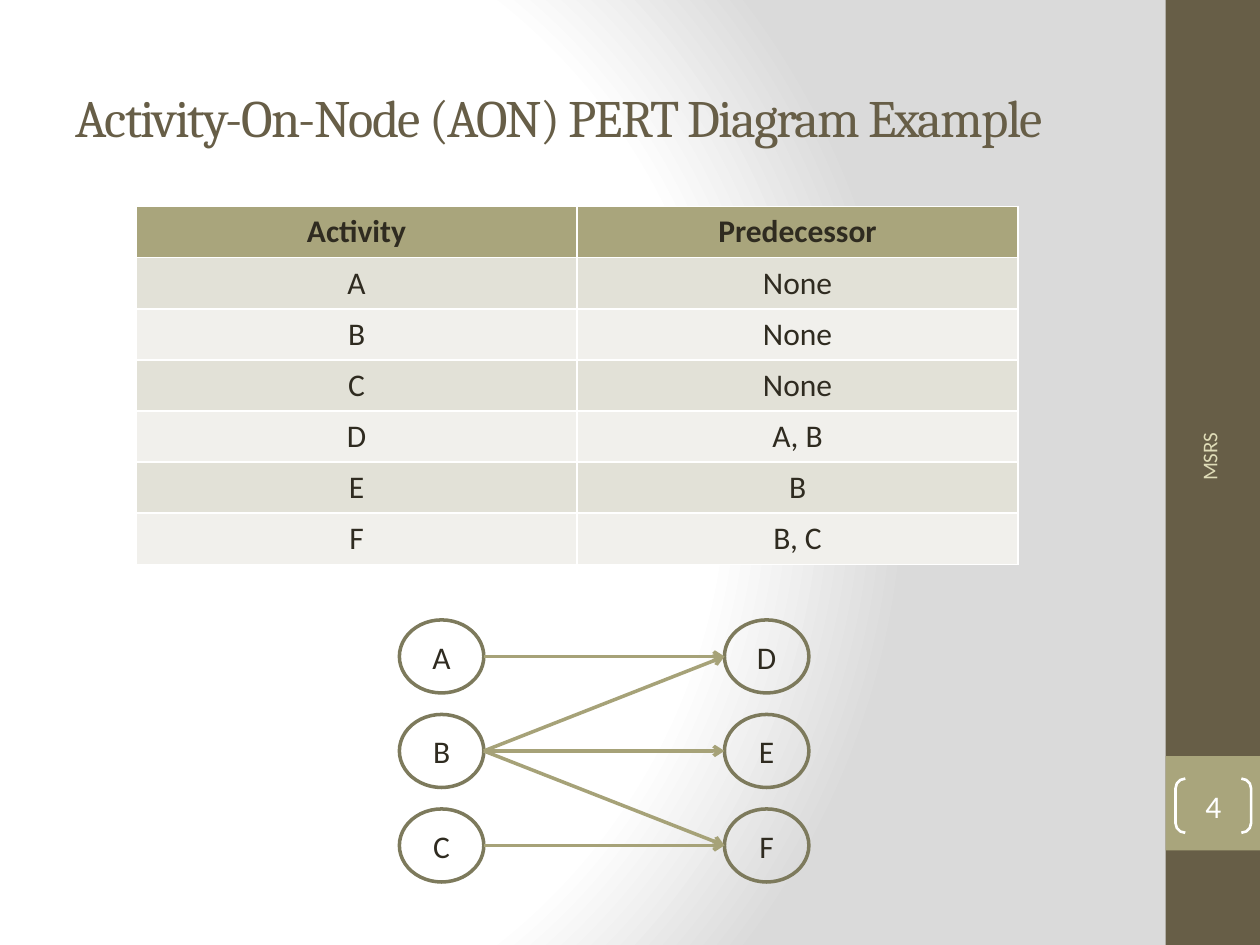
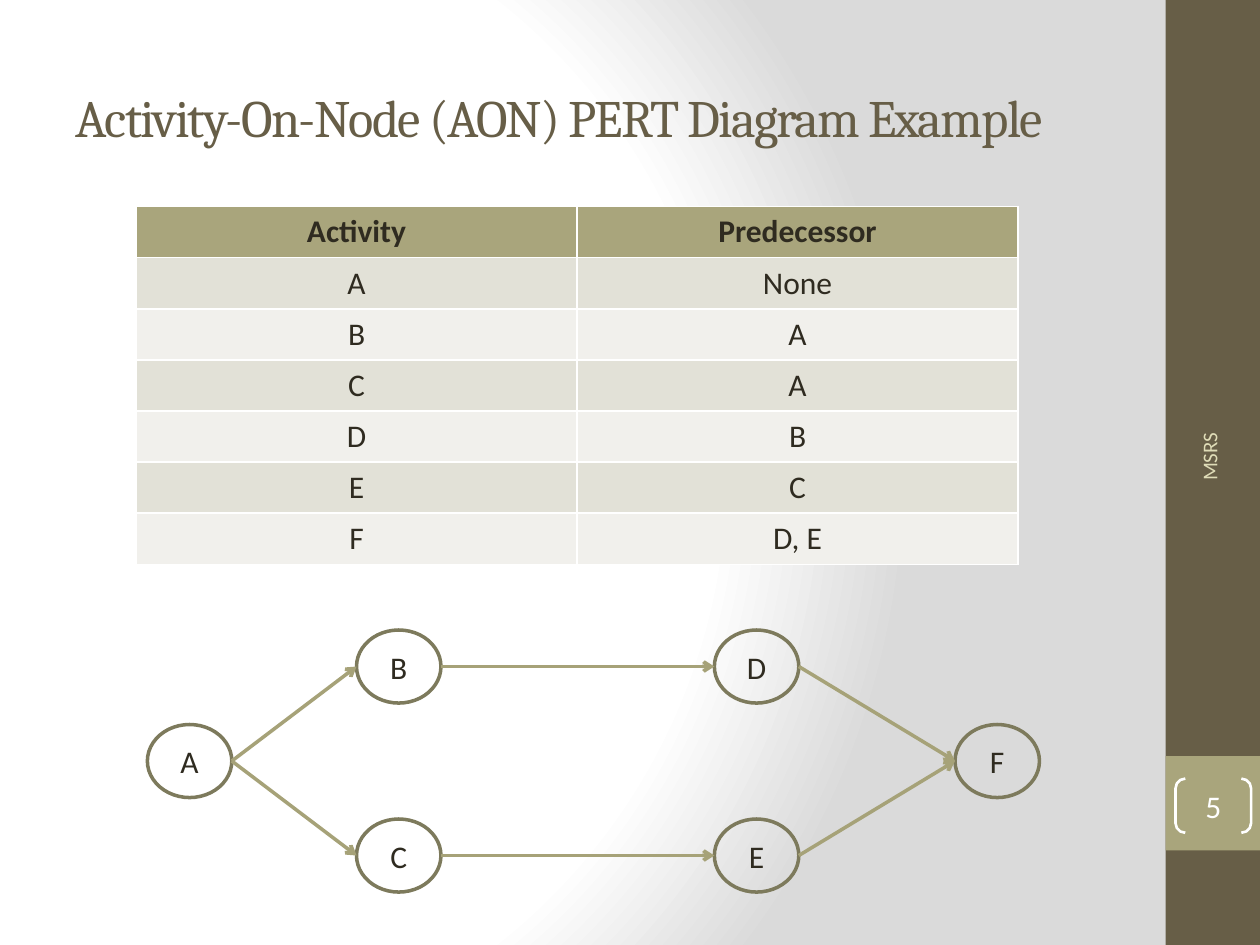
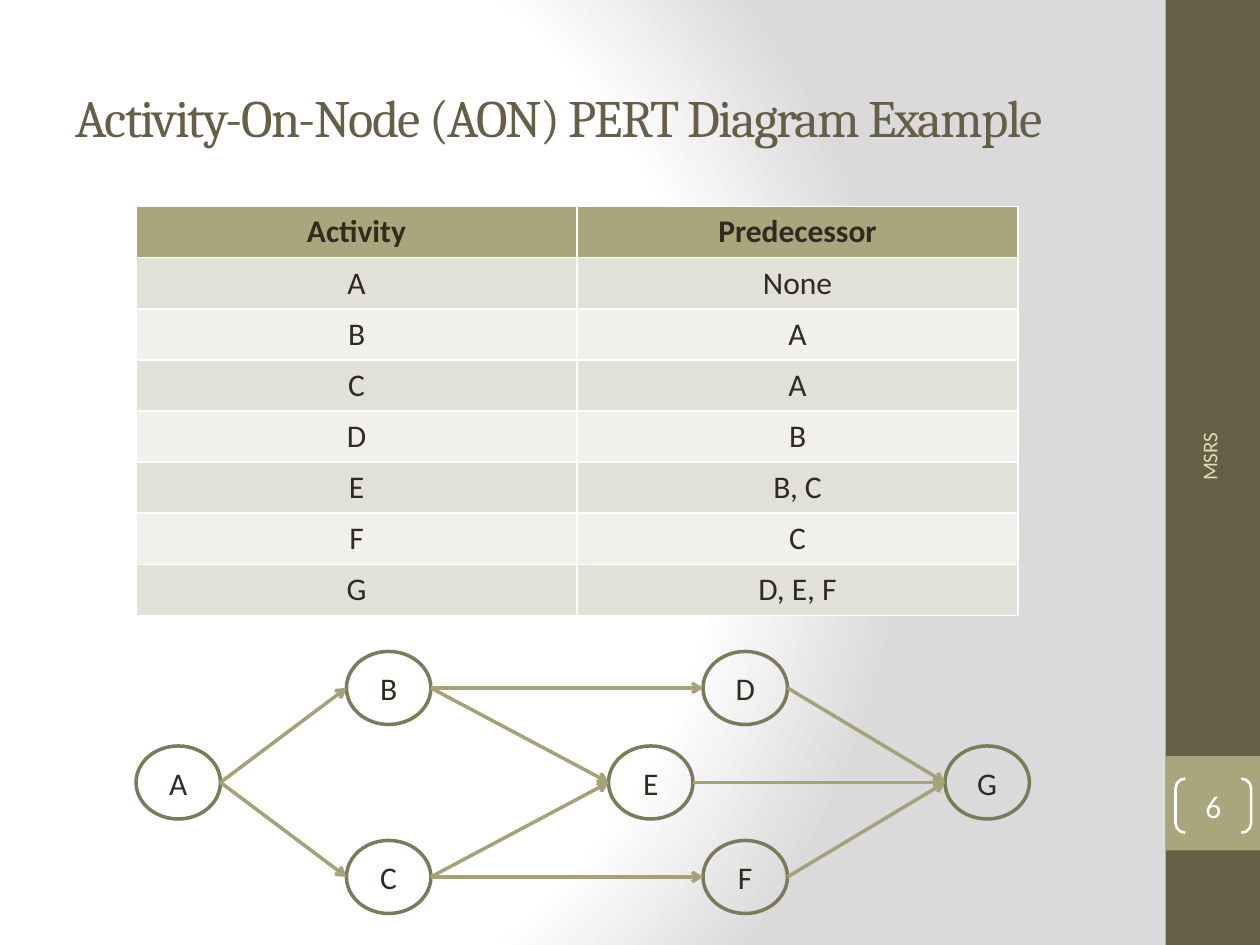
import dataclasses

import pptx
import pptx.dml.color
import pptx.enum.shapes
import pptx.enum.text
import pptx.oxml
import pptx.oxml.ns
import pptx.util

Inches, Pt = pptx.util.Inches, pptx.util.Pt
RGB = pptx.dml.color.RGBColor.from_string
SHAPE = pptx.enum.shapes.MSO_SHAPE
ALIGN = pptx.enum.text.PP_ALIGN
MIDDLE = pptx.enum.text.MSO_ANCHOR.MIDDLE
qn = pptx.oxml.ns.qn


@dataclasses.dataclass(frozen=True)
class Theme:
    heading_font: str = "Cambria"
    body_font: str = "Calibri"
    title_size: int = 30
    body_size: int = 18
    footer_size: int = 12
    ink: str = "2F2B20"
    dark: str = "675E47"
    accent: str = "A9A57C"
    node: str = "7D7A5C"
    arrow: str = "A6A278"
    footer: str = "DFDCB7"
    white: str = "FFFFFF"
    shade: str = "DADADA"
    stripes: tuple = ("E2E1D7", "F1F0EC")


T = Theme()
TITLE = "Activity-On-Node (AON) PERT Diagram Example"
FIRST_NUMBER = 4
NODE_W, NODE_H, NODE_PITCH = 0.67, 0.58, 0.75
ELLIPSE_LEFT, ELLIPSE_RIGHT = 2, 6

# Each network: predecessors, top of the diagram, nodes as (left, row)
NETWORKS = [
    dict(predecessors={"A": "None", "B": "None", "C": "None",
                       "D": "A, B", "E": "B", "F": "B, C"},
         top=4.92,
         nodes={"A": (3.17, 0), "B": (3.17, 1), "C": (3.17, 2),
                "D": (5.75, 0), "E": (5.75, 1), "F": (5.75, 2)}),
    dict(predecessors={"A": "None", "B": "A", "C": "A",
                       "D": "B", "E": "C", "F": "D, E"},
         top=5,
         nodes={"A": (1.17, 1), "B": (2.83, 0), "C": (2.83, 2),
                "D": (5.67, 0), "E": (5.67, 2), "F": (7.58, 1)}),
    dict(predecessors={"A": "None", "B": "A", "C": "A", "D": "B",
                       "E": "B, C", "F": "C", "G": "D, E, F"},
         top=5.17,
         nodes={"A": (1.08, 1), "B": (2.75, 0), "C": (2.75, 2), "D": (5.58, 0),
                "E": (4.83, 1), "F": (5.58, 2), "G": (7.5, 1)}),
]


def write(tf, text, size=T.body_size, font=T.body_font, color=T.ink,
          bold=False, align=ALIGN.CENTER, spacing=None):
    p = tf.paragraphs[0]
    p.alignment = align
    r = p.add_run()
    r.text = text
    r.font.size, r.font.name, r.font.bold = Pt(size), font, bold
    r.font.color.rgb = RGB(color)
    if spacing:
        r.font._element.set("spc", str(spacing))


def add_shape(s, kind, x, y, w, h, fill=None, line=None, width=2):
    sp = s.shapes.add_shape(kind, Inches(x), Inches(y), Inches(w), Inches(h))
    sp.shadow.inherit = False
    if fill:
        sp.fill.solid()
        sp.fill.fore_color.rgb = RGB(fill)
    else:
        sp.fill.background()
    if line:
        sp.line.color.rgb = RGB(line)
        sp.line.width = Pt(width)
    else:
        sp.line.fill.background()
    sp.text_frame.vertical_anchor = MIDDLE
    return sp


prs = pptx.Presentation()
prs.slide_width, prs.slide_height = Inches(10), Inches(7.5)
master, layout = prs.slide_master, prs.slide_layouts[5]

# Shared background gradient
master.background.fill.gradient()
grad = master.element.find(".//" + qn("a:gradFill"))
stops = "".join(f'<a:gs pos="{pos}"><a:srgbClr val="{color}"/></a:gs>'
                for pos, color in ((0, T.white), (75000, T.white), (100000, T.shade)))
grad.getparent().replace(grad, pptx.oxml.parse_xml(
    f'<a:gradFill {pptx.oxml.ns.nsdecls("a")} rotWithShape="1"><a:gsLst>{stops}</a:gsLst>'
    '<a:path path="circle"><a:fillToRect l="20000" t="50000" r="100000" b="50000"/></a:path>'
    '</a:gradFill>'))

# Shared title place
title = layout.placeholders[0]
title.left, title.top = Inches(0.5), Inches(0.3)
title.width, title.height = Inches(8.33), Inches(1.25)

slides = [prs.slides.add_slide(layout) for _ in NETWORKS]

# Shared side bands, moved to the master behind its placeholders
for i, (y, h, color) in enumerate([(0, 7.5, T.dark), (6, 0.75, T.accent)]):
    band = add_shape(slides[0], SHAPE.RECTANGLE, 9.25, y, 0.75, h, fill=color)
    band.element.nvSpPr.cNvPr.set("id", str(20 + i))
    master.shapes.element.insert(2 + i, band.element)

for number, (s, network) in enumerate(zip(slides, NETWORKS), FIRST_NUMBER):
    # Title
    tf = s.shapes.title.text_frame
    tf.vertical_anchor = MIDDLE
    write(tf, TITLE, size=T.title_size, font=T.heading_font, color=T.dark,
          align=ALIGN.LEFT, spacing=-100)

    # Predecessor table
    rows = [("Activity", "Predecessor"), *network["predecessors"].items()]
    table = s.shapes.add_table(len(rows), 2, Inches(1.08), Inches(1.64),
                               Inches(7), Inches(0.4 * len(rows))).table
    for i, row in enumerate(rows):
        for j, text in enumerate(row):
            cell = table.cell(i, j)
            cell.fill.solid()
            cell.fill.fore_color.rgb = RGB(T.stripes[(i - 1) % 2] if i else T.accent)
            write(cell.text_frame, text, bold=i == 0)

    # Activity nodes
    nodes = {}
    for name, (x, row) in network["nodes"].items():
        nodes[name] = add_shape(s, SHAPE.OVAL, x, network["top"] + row * NODE_PITCH,
                                NODE_W, NODE_H, line=T.node)
        write(nodes[name].text_frame, name)

    # Arrows from each predecessor to its activity
    for name, before in network["predecessors"].items():
        for source in before.split(", "):
            if source not in nodes:
                continue
            a, b = nodes[source], nodes[name]
            arrow = s.shapes.add_connector(
                pptx.enum.shapes.MSO_CONNECTOR.STRAIGHT,
                a.left + a.width, a.top + a.height // 2, b.left, b.top + b.height // 2)
            arrow.line.color.rgb = RGB(T.arrow)
            arrow.line.width = Pt(2)
            spPr = arrow.element.spPr
            spPr.find(qn("a:ln")).append(pptx.oxml.parse_xml(
                f'<a:tailEnd {pptx.oxml.ns.nsdecls("a")} type="arrow"/>'))
            spPr.append(pptx.oxml.parse_xml(f'<a:effectLst {pptx.oxml.ns.nsdecls("a")}/>'))
            # An ellipse has eight joining points, more than begin_connect knows
            joins = arrow.element.nvCxnSpPr.cNvCxnSpPr
            for tag, node, point in (("stCxn", a, ELLIPSE_RIGHT), ("endCxn", b, ELLIPSE_LEFT)):
                joins.append(pptx.oxml.parse_xml(
                    f'<a:{tag} {pptx.oxml.ns.nsdecls("a")} id="{node.shape_id}" idx="{point}"/>'))

    # Footer and slide number
    footer = s.shapes.add_textbox(Inches(8.3), Inches(4.43), Inches(2.59), Inches(0.4))
    footer.rotation = 270
    footer.text_frame.word_wrap = True
    footer.text_frame.vertical_anchor = MIDDLE
    write(footer.text_frame, "MSRS", size=T.footer_size, color=T.footer, align=ALIGN.RIGHT)

    badge = add_shape(s, SHAPE.DOUBLE_BRACKET, 9.33, 6.18, 0.6, 0.43, line=T.white, width=1.5)
    badge.adjustments[0] = 0.18
    tf = badge.text_frame
    tf.margin_left = tf.margin_top = tf.margin_right = tf.margin_bottom = 0
    write(tf, str(number), color=T.white)

prs.save("out.pptx")
